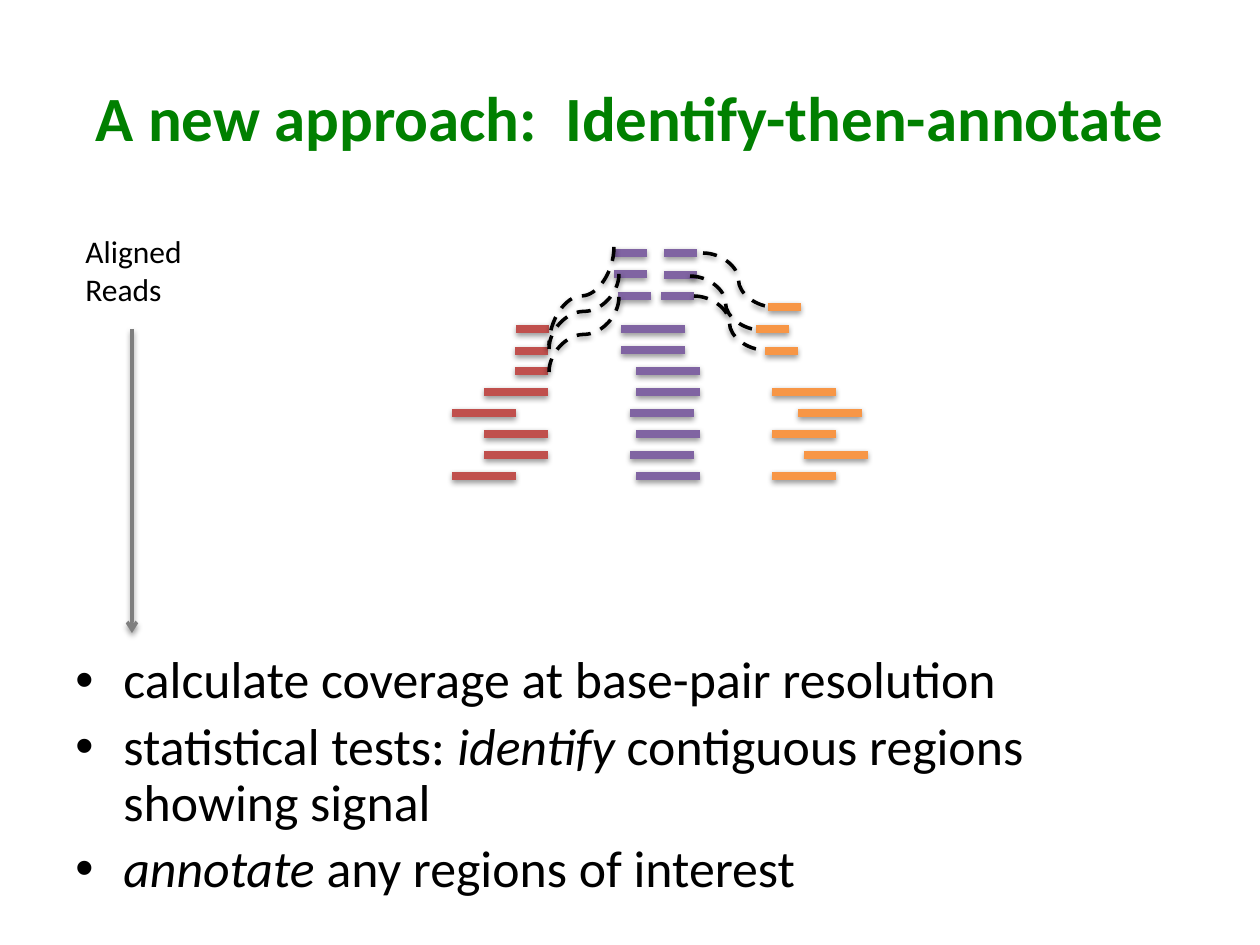
from lxml import etree
from pptx import Presentation
from pptx import util as u
from pptx.dml.color import RGBColor
from pptx.enum import dml, shapes, text
from pptx.oxml import ns

RED, PURPLE, ORANGE = "C0504D", "8064A2", "F79646"
GREEN, BLACK, GRAY = "008000", "000000", "7F7F7F"


def px(value):
    return u.Emu(round(value * 914400 / 126))


def color(value):
    return RGBColor.from_string(value)


def apply(target, values):
    for name, value in values.items():
        setattr(target, name, value)


def add_xml(parent, tag, **attributes):
    return etree.SubElement(parent, ns.qn(tag), attributes)


class SlideBuilder:
    font = "Calibri"
    shadow = {"blurRad": "40000", "dist": "20000", "dir": "5400000", "rotWithShape": "0"}

    def __init__(self, presentation):
        self.slide = presentation.slides.add_slide(presentation.slide_layouts[6])
        self.canvas = self.slide.shapes

    def start_group(self):
        self.canvas = self.slide.shapes.add_group_shape().shapes

    def end_group(self):
        self.canvas = self.slide.shapes

    def text(self, box, paragraphs, size, fill=BLACK, bold=False, bullet=False,
             frame_format=None, paragraph_format=None):
        frame = self.slide.shapes.add_textbox(*map(px, box)).text_frame
        apply(frame, {"word_wrap": True, **(frame_format or {})})
        for index, runs in enumerate(paragraphs):
            paragraph = frame.add_paragraph() if index else frame.paragraphs[0]
            if bullet:
                properties = paragraph._p.get_or_add_pPr()
                properties.set("marL", str(px(48)))
                properties.set("indent", str(-px(48)))
                add_xml(properties, "a:buFont", typeface="Arial")
                add_xml(properties, "a:buChar", char="•")
            apply(paragraph, paragraph_format or {})
            if index == 0:
                paragraph.space_before = u.Pt(0)
            for words, italic in runs:
                run = paragraph.add_run()
                run.text = words
                apply(run.font, {"name": self.font, "size": u.Pt(size),
                                 "bold": bold, "italic": italic})
                run.font.color.rgb = color(fill)

    def line(self, start, end, fill, width, kind=shapes.MSO_CONNECTOR.STRAIGHT):
        connector = self.canvas.add_connector(kind, *map(px, (*start, *end)))
        connector.line.color.rgb = color(fill)
        connector.line.width = u.Pt(width)
        effects = add_xml(connector._element.spPr, "a:effectLst")
        outer = add_xml(effects, "a:outerShdw", **self.shadow)
        add_xml(add_xml(outer, "a:srgbClr", val=BLACK), "a:alpha", val="38000")
        return connector

    def read(self, left, y, length, fill):
        self.line((left, y), (left + length, y), fill, 5)

    def junction(self, start, end, vertical=False):
        if vertical:
            center_x, center_y = (start[0] + end[0]) / 2, (start[1] + end[1]) / 2
            half_width, half_height = abs(end[1] - start[1]) / 2, abs(end[0] - start[0]) / 2
            start = center_x - half_width, center_y - half_height
            end = center_x + half_width, center_y + half_height
        connector = self.line(start, end, BLACK, 2, shapes.MSO_CONNECTOR.CURVE)
        connector.line.dash_style = dml.MSO_LINE.DASH
        if vertical:
            connector._element.spPr.find(ns.qn("a:xfrm")).set("rot", "5400000")

    def arrow(self, start, end):
        connector = self.line(start, end, GRAY, 2)
        add_xml(connector.line._get_or_add_ln(), "a:tailEnd", type="arrow")


def main():
    presentation = Presentation()
    apply(presentation, {"slide_width": u.Inches(10), "slide_height": u.Inches(7.5)})
    builder = SlideBuilder(presentation)

    builder.text((63, 38, 1134, 157), [[("A new approach:  Identify-then-annotate", False)]],
                 36, GREEN, bold=True,
                 frame_format={"vertical_anchor": text.MSO_ANCHOR.MIDDLE},
                 paragraph_format={"alignment": text.PP_ALIGN.CENTER})

    builder.start_group()
    first_row, row_pitch, long_read, short_read = 329, 21, 64, 33
    long_reads = [
        (RED, 3, (484, 452, 484, 484, 452)),
        (PURPLE, 0, (621, 621, 636, 636, 630, 636, 630, 636)),
        (ORANGE, 3, (772, 798, 772, 804, 772)),
    ]
    for fill, row, lefts in long_reads:
        for index, left in enumerate(lefts, row):
            builder.read(left, first_row + index * row_pitch, long_read, fill)

    short_reads = [
        (RED, ((516, 329), (515, 351), (515, 371))),
        (PURPLE, ((614, 253), (614, 274), (618, 296))),
        (PURPLE, ((664, 253), (664, 275), (661, 296))),
        (ORANGE, ((768, 307), (756, 329), (765, 351))),
    ]
    for fill, places in short_reads:
        for left, y in places:
            builder.read(left, y, short_read, fill)

    for x, y in ((703, 253), (690, 276), (694, 296)):
        builder.junction((x, y), (x + 71, y + 54))
    for start, end in (((614, 247), (549, 345)), ((619, 274), (549, 349)),
                       ((619, 297), (549, 372))):
        builder.junction(start, end, vertical=True)
    builder.end_group()

    builder.text((73, 226, 122, 89), [[("Aligned", False)], [("Reads", False)]], 18,
                 frame_format={"word_wrap": False})
    builder.arrow((132, 329), (132, 633))

    bullets = [
        [("calculate coverage at base-pair resolution", False)],
        [("statistical tests: ", False), ("identify ", True),
         ("contiguous regions showing signal", False)],
        [("annotate ", True), ("any regions of interest", False)],
    ]
    builder.text((63, 648, 1134, 273), bullets, 29.6, bullet=True,
                 paragraph_format={"line_spacing": 0.9, "space_before": u.Pt(5.9)})
    presentation.save("out.pptx")


if __name__ == "__main__":
    main()
